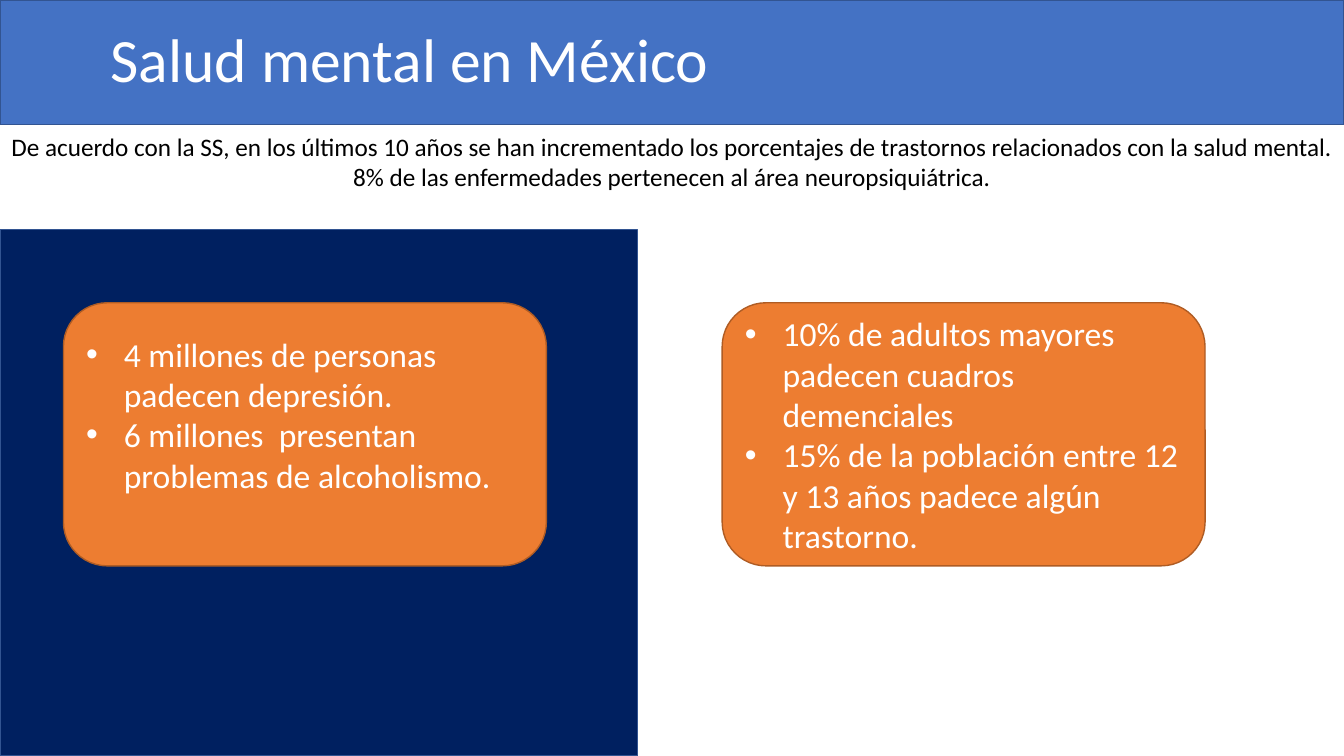
from lxml import etree
from pptx import Presentation
from pptx import util as u
from pptx.dml.color import RGBColor
from pptx.enum import shapes, text
from pptx.oxml.ns import qn


def color(hex_code):
    return RGBColor.from_string(hex_code)


def add_text(shape, lines, size=18, hex_code="FFFFFF", align=text.PP_ALIGN.LEFT,
             anchor=text.MSO_ANCHOR.MIDDLE, spacing=1.0, bullet=False):
    frame = shape.text_frame
    frame.word_wrap = True
    frame.vertical_anchor = anchor
    for index, line in enumerate(lines):
        paragraph = frame.add_paragraph() if index else frame.paragraphs[0]
        paragraph.alignment = align
        paragraph.line_spacing = spacing
        if bullet:
            properties = paragraph._p.get_or_add_pPr()
            properties.set("marL", str(u.Cm(0.95)))
            properties.set("indent", str(-u.Cm(0.95)))
            etree.SubElement(properties, qn("a:buFont")).set("typeface", "Arial")
            etree.SubElement(properties, qn("a:buChar")).set("char", "•")
        run = paragraph.add_run()
        run.text = line
        run.font.name = "Calibri"
        run.font.size = u.Pt(size)
        run.font.color.rgb = color(hex_code)


presentation = Presentation()
presentation.slide_width = u.Cm(33.87)
presentation.slide_height = u.Cm(19.05)
slide = presentation.slides.add_slide(presentation.slide_layouts[6])

RECTANGLE = shapes.MSO_SHAPE.RECTANGLE
ROUNDED = shapes.MSO_SHAPE.ROUNDED_RECTANGLE
blocks = []
for kind, left, top, width, height, fill, line in [
    (RECTANGLE, 0, 5.79, 16.06, 13.26, "002060", "325491"),
    (RECTANGLE, 0, 0, 33.87, 3.14, "4472C4", "325491"),
    (ROUNDED, 1.6, 7.63, 12.17, 6.63, "ED7D31", "AF5C24"),
    (ROUNDED, 18.2, 7.63, 12.17, 6.63, "ED7D31", "AF5C24"),
]:
    shape = slide.shapes.add_shape(kind, u.Cm(left), u.Cm(top), u.Cm(width), u.Cm(height))
    shape.shadow.inherit = False
    shape.fill.solid()
    shape.fill.fore_color.rgb = color(fill)
    shape.line.color.rgb = color(line)
    shape.line.width = u.Pt(1)
    blocks.append(shape)
panel, title, left_card, right_card = blocks

title.text_frame.margin_left = u.Cm(2.79)
add_text(title, ["Salud mental en México"], size=44, spacing=0.9)

left_card.text_frame.margin_bottom = u.Cm(1.14)
add_text(left_card, [
    "4 millones de personas padecen depresión.",
    "6 millones  presentan problemas de alcoholismo.",
], size=24, bullet=True)
add_text(right_card, [
    "10% de adultos mayores padecen cuadros demenciales",
    "15% de la población entre 12 y 13 años padece algún trastorno.",
], size=24, bullet=True)

summary = slide.shapes.add_textbox(u.Cm(0), u.Cm(3.18), u.Cm(33.87), u.Cm(2.57))
add_text(summary, [
    "De acuerdo con la SS, en los últimos 10 años se han incrementado los porcentajes "
    "de trastornos relacionados con la salud mental.",
    "8% de las enfermedades pertenecen al área neuropsiquiátrica.",
], hex_code="000000", align=text.PP_ALIGN.CENTER, anchor=text.MSO_ANCHOR.TOP)

presentation.save("out.pptx")
